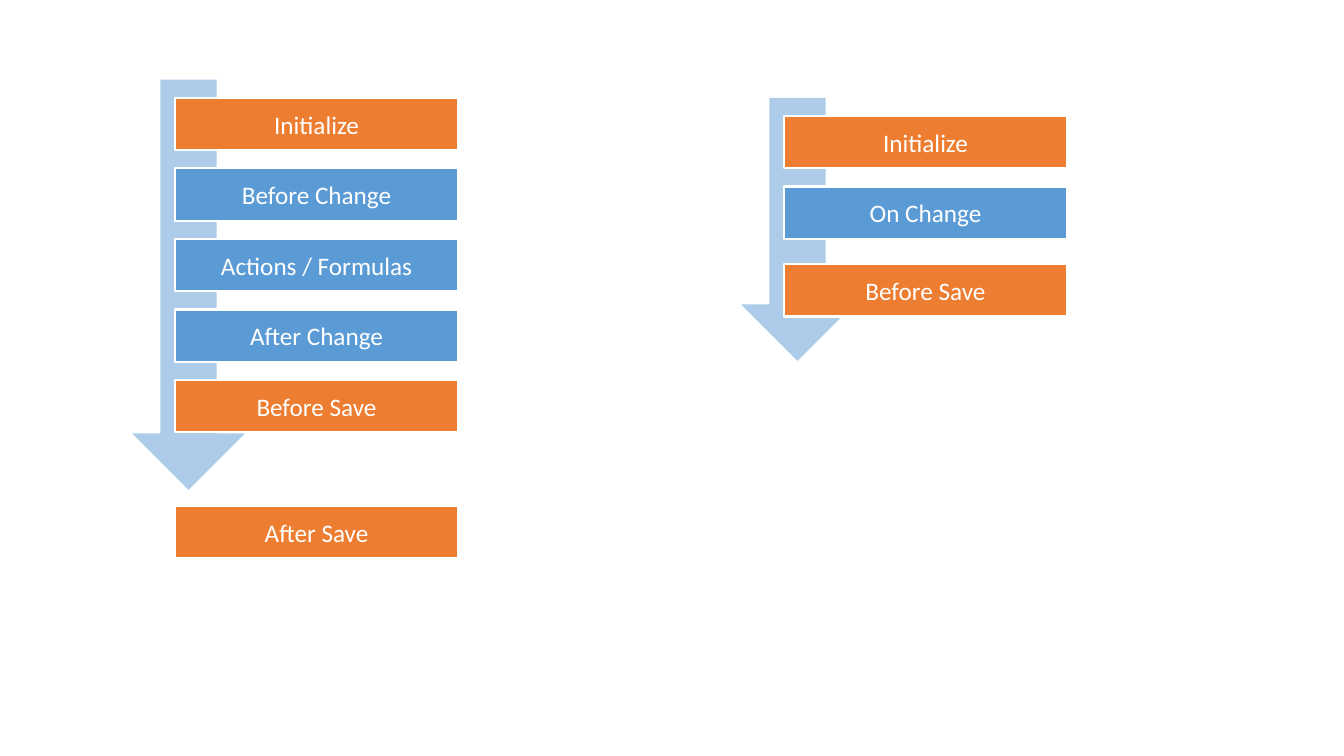
"""Build a slide with two event flows, each a column of steps on a down arrow."""
from dataclasses import dataclass

from lxml import etree
from pptx import Presentation
from pptx.dml.color import RGBColor
from pptx.enum.shapes import MSO_SHAPE
from pptx.enum.text import MSO_ANCHOR, PP_ALIGN
from pptx.oxml.ns import qn
from pptx.util import Inches, Pt

ARROW, RECT = MSO_SHAPE.DOWN_ARROW, MSO_SHAPE.RECTANGLE
MIDDLE, CENTER = MSO_ANCHOR.MIDDLE, PP_ALIGN.CENTER


@dataclass(frozen=True)
class Theme:
    change: str = "5B9BD5"
    record: str = "ED7D31"
    white: str = "FFFFFF"
    font: str = "Calibri"
    size: int = 18
    line: float = 1.5
    alpha: int = 50


THEME = Theme()

# Each step: label, fill, extra gap above.
FLOWS = [
    {"left": 1.31, "top": 0.79, "length": 4.07, "steps": [
        ("Initialize", THEME.record, 0),
        ("Before Change", THEME.change, 0),
        ("Actions / Formulas", THEME.change, 0),
        ("After Change", THEME.change, 0),
        ("Before Save", THEME.record, 0),
        ("After Save", THEME.record, 0.55),
    ]},
    {"left": 7.35, "top": 0.97, "length": 2.61, "steps": [
        ("Initialize", THEME.record, 0),
        ("On Change", THEME.change, 0),
        ("Before Save", THEME.record, 0.07),
    ]},
]
SPAN, WIDE, HIGH, PITCH = 1.12, 2.8, 0.52, 0.7
INSET, DROP = 0.43, 0.18


def add_shape(slide, kind, box, color):
    shape = slide.shapes.add_shape(kind, *map(Inches, box))
    shape.shadow.inherit = False
    shape.fill.solid()
    shape.fill.fore_color.rgb = RGBColor.from_string(color)
    return shape


def add_arrow(slide, box):
    arrow = add_shape(slide, ARROW, box, THEME.change)
    arrow.line.fill.background()
    tint = arrow.fill._xPr.find(qn("a:solidFill"))[0]
    etree.SubElement(tint, qn("a:alpha"), val=str(THEME.alpha * 1000))


def add_step(slide, label, box, color):
    step = add_shape(slide, RECT, box, color)
    white = RGBColor.from_string(THEME.white)
    step.line.color.rgb = white
    step.line.width = Pt(THEME.line)
    frame = step.text_frame
    frame.text = label
    frame.vertical_anchor = MIDDLE
    para = frame.paragraphs[0]
    para.alignment = CENTER
    para.font.name = THEME.font
    para.font.size = Pt(THEME.size)
    para.font.color.rgb = white


def add_flow(slide, flow):
    left, top = flow["left"], flow["top"]
    add_arrow(slide, (left, top, SPAN, flow["length"]))
    y = top + DROP
    for label, color, extra in flow["steps"]:
        y += extra
        add_step(slide, label, (left + INSET, y, WIDE, HIGH), color)
        y += PITCH


deck = Presentation()
deck.slide_width, deck.slide_height = Inches(13.33), Inches(7.5)
slide = deck.slides.add_slide(deck.slide_layouts[6])
for flow in FLOWS:
    add_flow(slide, flow)
deck.save("out.pptx")
